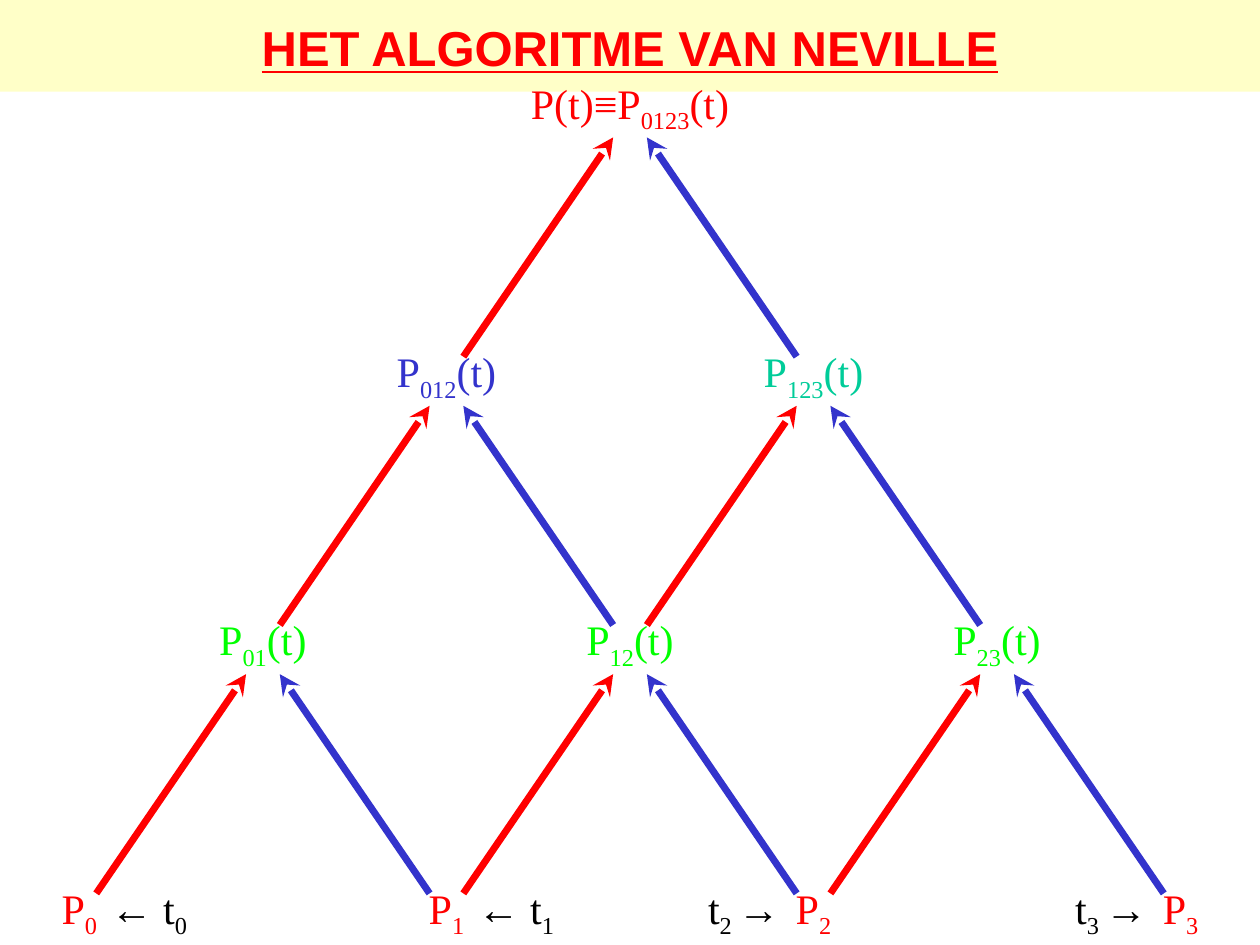
"""Build the slide showing Neville's algorithm as a triangle of polynomials."""
from lxml.etree import SubElement
from pptx import Presentation
from pptx.dml.color import RGBColor
from pptx.enum.shapes import MSO_CONNECTOR, MSO_SHAPE
from pptx.enum.text import MSO_ANCHOR, MSO_AUTO_SIZE, PP_ALIGN
from pptx.oxml.ns import qn
from pptx.util import Cm, Pt

COLORS = {
    "band": "FFFFC8",
    "red": "FF0000",
    "blue": "3333CC",
    "green": "00FF00",
    "teal": "00CC99",
    "black": "000000",
}
RGB = {name: RGBColor.from_string(value) for name, value in COLORS.items()}

STEP_X, STEP_Y = 7.4, 5.41
LEFT, BOTTOM = 1.6, 17.73
LABEL_H = 1.27
ARROW_DX, ARROW_DY = 0.34, 0.28
T_DX = 1.4

LEVELS = [
    [("P", str(i), "", "red") for i in range(4)],
    [("P", sub, "(t)", "green") for sub in ("01", "12", "23")],
    [("P", "012", "(t)", "blue"), ("P", "123", "(t)", "teal")],
    [("P(t)≡P", "0123", "(t)", "red")],
]
WIDTHS = [1.27, 2.34, 2.62, 4.65]
T_WIDTH = 2.08


def add_label(s, center, top, width, parts, color):
    """Add a centred label made of base text, subscript and tail."""
    box = s.shapes.add_textbox(Cm(center - width / 2), Cm(top), Cm(width), Cm(LABEL_H))
    tf = box.text_frame
    tf.word_wrap = False
    tf.auto_size = MSO_AUTO_SIZE.SHAPE_TO_FIT_TEXT
    tf.vertical_anchor = MSO_ANCHOR.MIDDLE
    p = tf.paragraphs[0]
    p.alignment = PP_ALIGN.CENTER
    for text, baseline in zip(parts, (None, "-25000", None)):
        if not text:
            continue
        r = p.add_run()
        r.text = text
        r.font.size = Pt(24)
        r.font.name = "Times New Roman"
        r.font.color.rgb = RGB[color]
        if baseline:
            r.font._element.set("baseline", baseline)


def add_arrow(s, x1, y1, x2, y2, color):
    """Add a thick line with a stealth head at its end."""
    line = s.shapes.add_connector(MSO_CONNECTOR.STRAIGHT, Cm(x1), Cm(y1), Cm(x2), Cm(y2))
    line.line.color.rgb = RGB[color]
    line.line.width = Pt(4)
    sp_pr = line._element.spPr
    SubElement(sp_pr.find(qn("a:ln")), qn("a:tailEnd"), type="stealth")
    SubElement(sp_pr, qn("a:effectLst"))


prs = Presentation()
prs.slide_width, prs.slide_height = Cm(25.4), Cm(19.05)
s = prs.slides.add_slide(prs.slide_layouts[5])

band = s.shapes.add_shape(MSO_SHAPE.RECTANGLE, 0, 0, prs.slide_width, Cm(1.85))
band.shadow.inherit = False
band.fill.solid()
band.fill.fore_color.rgb = RGB["band"]
band.line.fill.background()
s.shapes._spTree.insert(2, band._element)

title = s.shapes.title
title.left, title.top, title.width, title.height = 0, 0, prs.slide_width, Cm(1.9)
tf = title.text_frame
tf.text = "HET ALGORITME VAN NEVILLE"
tf.auto_size = MSO_AUTO_SIZE.NONE
tf.vertical_anchor = MSO_ANCHOR.MIDDLE
p = tf.paragraphs[0]
p.alignment = PP_ALIGN.CENTER
r = p.runs[0]
r.font.name = "Arial"
r.font.size = Pt(28)
r.font.bold = r.font.underline = True
r.font.color.rgb = RGB["red"]

for level, nodes in enumerate(LEVELS):
    top = BOTTOM - level * STEP_Y
    for i, (base, sub, tail, color) in enumerate(nodes):
        center = LEFT + (i + level / 2) * STEP_X
        add_label(s, center, top, WIDTHS[level], (base, sub, tail), color)
        if level == 0:
            continue
        for side, arrow_color in ((-1, "red"), (1, "blue")):
            child = center + side * STEP_X / 2
            add_arrow(s, child - side * ARROW_DX, top + STEP_Y + ARROW_DY,
                      center + side * ARROW_DX, top + LABEL_H, arrow_color)

for i in range(4):
    side = 1 if i < 2 else -1
    parts = ("← t", str(i), "") if i < 2 else ("t", f"{i} ", "→")
    add_label(s, LEFT + i * STEP_X + side * T_DX, BOTTOM, T_WIDTH, parts, "black")

prs.save("out.pptx")
